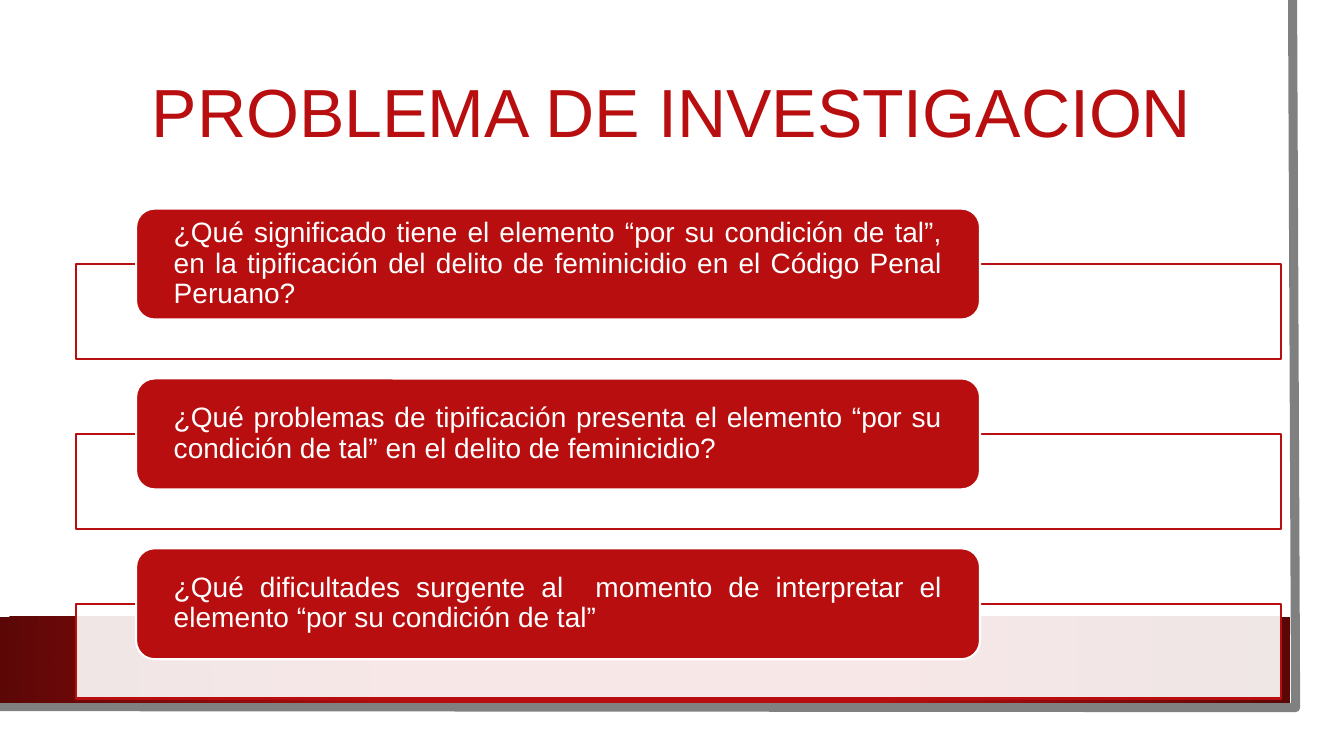
from lxml import etree
from pptx import Presentation
from pptx.dml.color import RGBColor
from pptx.enum.shapes import MSO_SHAPE
from pptx.enum.text import MSO_ANCHOR, PP_ALIGN
from pptx.oxml import parse_xml
from pptx.oxml.ns import nsdecls, qn
from pptx.util import Inches, Pt

RED, DARK_RED, WHITE, GREY = "B80E0F", "5C0707", "FFFFFF", "808080"
QUESTIONS = [
    "¿Qué significado tiene el elemento “por su condición de tal”, en la "
    "tipificación del delito de feminicidio en el Código Penal Peruano?",
    "¿Qué problemas de tipificación presenta el elemento “por su condición "
    "de tal” en el delito de feminicidio?",
    "¿Qué dificultades surgente al  momento de interpretar el elemento "
    "“por su condición de tal”",
]
FIRST_TOP, STEP = 2.07, 1.685


def color(value):
    return RGBColor.from_string(value)


def add_box(page, kind, left, top, width, height, fill, line=None):
    box = page.shapes.add_shape(
        kind, Inches(left), Inches(top), Inches(width), Inches(height))
    box.shadow.inherit = False
    box.fill.solid()
    box.fill.fore_color.rgb = color(fill)
    if line:
        box.line.color.rgb = color(line)
        box.line.width = Pt(1.5)
    else:
        box.line.fill.background()
    return box


def set_opacity(box, percent):
    shade = box.fill._xPr.find(qn("a:solidFill"))[0]
    etree.SubElement(shade, qn("a:alpha"), val=str(percent * 1000))


def set_radial_fill(box, inner, outer):
    """Fill the box with a gradient that spreads from its centre."""
    gradient = parse_xml(
        f'<a:gradFill {nsdecls("a")} rotWithShape="1"><a:gsLst>'
        f'<a:gs pos="34000"><a:srgbClr val="{inner}"/></a:gs>'
        f'<a:gs pos="100000"><a:srgbClr val="{outer}"/></a:gs></a:gsLst>'
        '<a:path path="circle">'
        '<a:fillToRect l="50000" t="50000" r="50000" b="50000"/>'
        '</a:path></a:gradFill>')
    solid = box.fill._xPr.find(qn("a:solidFill"))
    solid.getparent().replace(solid, gradient)


def write(box, text, size, fill, align, side=0.1, edge=0.05):
    """Write one vertically centred paragraph; side and edge are margins."""
    frame = box.text_frame
    frame.word_wrap = True
    frame.vertical_anchor = MSO_ANCHOR.MIDDLE
    frame.margin_left = frame.margin_right = Inches(side)
    frame.margin_top = frame.margin_bottom = Inches(edge)
    para = frame.paragraphs[0]
    para.alignment = align
    para.line_spacing = 0.9
    span = para.add_run()
    span.text = text
    span.font.size = Pt(size)
    span.font.name = "Arial"
    span.font.color.rgb = color(fill)


def add_frame(page):
    """Draw the red band and the grey edge at the right and bottom."""
    builder = page.shapes.build_freeform(1282, 0, scale=Inches(0.01))
    builder.add_line_segments([(1285, 702), (-3, 701)], close=False)
    edge = builder.convert_to_shape()
    edge.shadow.inherit = False
    edge.fill.background()
    edge.line.color.rgb = color(GREY)
    edge.line.width = Pt(6.5)
    band = add_box(page, MSO_SHAPE.RECTANGLE, 0, 6.12, 12.8, 0.85, RED)
    set_radial_fill(band, RED, DARK_RED)


def add_title(page, text):
    box = page.shapes.add_textbox(
        Inches(0.98), Inches(0.52), Inches(11.37), Inches(1.26))
    write(box, text, 48.6, RED, PP_ALIGN.CENTER)


def add_question(page, top, text):
    panel = add_box(page, MSO_SHAPE.RECTANGLE,
                    0.75, top + 0.55, 11.96, 0.94, WHITE, RED)
    set_opacity(panel, 90)
    label = add_box(page, MSO_SHAPE.ROUNDED_RECTANGLE,
                    1.35, top, 8.37, 1.1, RED, WHITE)
    write(label, text, 20, WHITE, PP_ALIGN.JUSTIFY, side=0.32, edge=0)


def main():
    deck = Presentation()
    deck.slide_width, deck.slide_height = Inches(13.33), Inches(7.5)
    page = deck.slides.add_slide(deck.slide_layouts[6])
    add_frame(page)
    add_title(page, "PROBLEMA DE INVESTIGACION")
    for index, question in enumerate(QUESTIONS):
        add_question(page, FIRST_TOP + index * STEP, question)
    deck.save("out.pptx")


if __name__ == "__main__":
    main()
